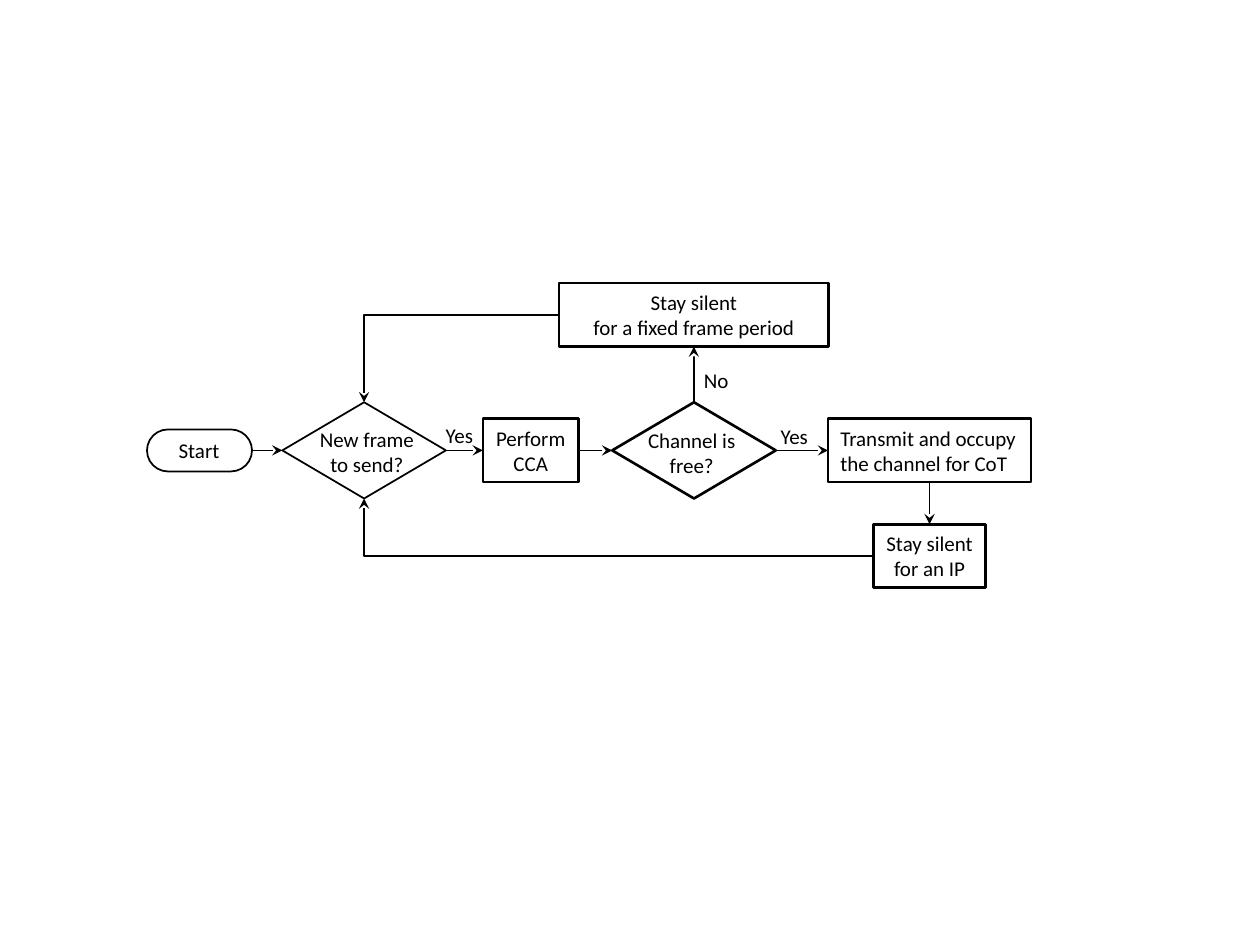
from lxml import etree
from pptx import Presentation
from pptx.dml.color import RGBColor
from pptx.enum.shapes import MSO_CONNECTOR, MSO_SHAPE
from pptx.enum.text import MSO_ANCHOR, MSO_AUTO_SIZE, PP_ALIGN
from pptx.oxml.ns import qn
from pptx.util import Pt

RECT, DIAMOND, ROUNDED = MSO_SHAPE.RECTANGLE, MSO_SHAPE.DIAMOND, MSO_SHAPE.ROUNDED_RECTANGLE
STRAIGHT, ELBOW = MSO_CONNECTOR.STRAIGHT, MSO_CONNECTOR.ELBOW
LEFT, CENTER = PP_ALIGN.LEFT, PP_ALIGN.CENTER
TOP, LEFT_SIDE, BOTTOM, RIGHT_SIDE = range(4)
BLACK = RGBColor(0, 0, 0)
ROW_Y = 257.4


def write(sp, paragraphs, align, wrap=False):
    tf = sp.text_frame
    tf.word_wrap = wrap
    tf.auto_size = MSO_AUTO_SIZE.SHAPE_TO_FIT_TEXT
    for i, text in enumerate(paragraphs):
        p = tf.add_paragraph() if i else tf.paragraphs[0]
        p.alignment = align
        for j, line in enumerate(text.split("\n")):
            if j:
                p.add_line_break()
            r = p.add_run()
            r.text = line
            r.font.name = "Calibri"
            r.font.size = Pt(12)
            r.font.color.rgb = BLACK


prs = Presentation()
prs.slide_width, prs.slide_height = Pt(720), Pt(540)
s = prs.slides.add_slide(prs.slide_layouts[6])

nodes = {}
for key, kind, cx, cy, w, h, weight, paragraphs, align in [
    ("start", ROUNDED, 114, ROW_Y, 60, 24, 1, [], CENTER),
    ("new frame", DIAMOND, 208.1, ROW_Y, 93.5, 55, 1, [], CENTER),
    ("perform", RECT, 303.3, ROW_Y, 54.7, 36.3, 1.5, ["Perform", "CCA"], CENTER),
    ("channel", DIAMOND, 396.6, ROW_Y, 93.5, 55, 1.5, [], CENTER),
    ("transmit", RECT, 531.2, ROW_Y, 116, 36.3, 1.5,
     ["Transmit and occupy\nthe channel for CoT"], LEFT),
    ("silent ip", RECT, 531.2, 317.7, 64.2, 36.3, 1.5, ["Stay silent\nfor an IP"], CENTER),
    ("silent period", RECT, 396.5, 179.9, 154, 36.3, 1.5,
     ["Stay silent\nfor a fixed frame period"], CENTER),
]:
    sp = s.shapes.add_shape(kind, Pt(cx - w / 2), Pt(cy - h / 2), Pt(w), Pt(h))
    sp.shadow.inherit = False
    sp.fill.background()
    sp.line.color.rgb = BLACK
    sp.line.width = Pt(weight)
    sp.text_frame.vertical_anchor = MSO_ANCHOR.MIDDLE
    if paragraphs:
        write(sp, paragraphs, align, wrap=key == "silent period")
    nodes[key] = sp
nodes["start"].adjustments[0] = 0.5

for kind, start, start_side, end, end_side in [
    (STRAIGHT, "start", RIGHT_SIDE, "new frame", LEFT_SIDE),
    (STRAIGHT, "new frame", RIGHT_SIDE, "perform", LEFT_SIDE),
    (STRAIGHT, "perform", RIGHT_SIDE, "channel", LEFT_SIDE),
    (STRAIGHT, "channel", RIGHT_SIDE, "transmit", LEFT_SIDE),
    (STRAIGHT, "channel", TOP, "silent period", BOTTOM),
    (STRAIGHT, "transmit", BOTTOM, "silent ip", TOP),
    (ELBOW, "silent ip", LEFT_SIDE, "new frame", BOTTOM),
    (ELBOW, "silent period", LEFT_SIDE, "new frame", TOP),
]:
    c = s.shapes.add_connector(kind, 0, 0, 0, 0)
    c.begin_connect(nodes[start], start_side)
    c.end_connect(nodes[end], end_side)
    c.line.color.rgb = BLACK
    c.line.width = Pt(1)
    spPr = c._element.spPr
    if kind == ELBOW:
        spPr.find(qn("a:prstGeom")).set("prst", "bentConnector2")
    etree.SubElement(spPr.find(qn("a:ln")), qn("a:tailEnd"), type="stealth")
    etree.SubElement(spPr, qn("a:effectLst"))

for text, left, top, w, h, align in [
    ("Start", 95, 246.3, 38.2, 21.8, LEFT),
    ("New frame\nto send?", 175.2, 240.2, 69, 36.3, CENTER),
    ("Channel is\nfree?", 362.9, 240.6, 64.8, 36.3, CENTER),
    ("Yes", 247.6, 237.9, 30.2, 21.8, LEFT),
    ("Yes", 439, 238.5, 30.2, 21.8, LEFT),
    ("No", 395.2, 206.7, 28.8, 21.8, LEFT),
]:
    sp = s.shapes.add_textbox(Pt(left), Pt(top), Pt(w), Pt(h))
    write(sp, [text], align)

prs.save("out.pptx")
